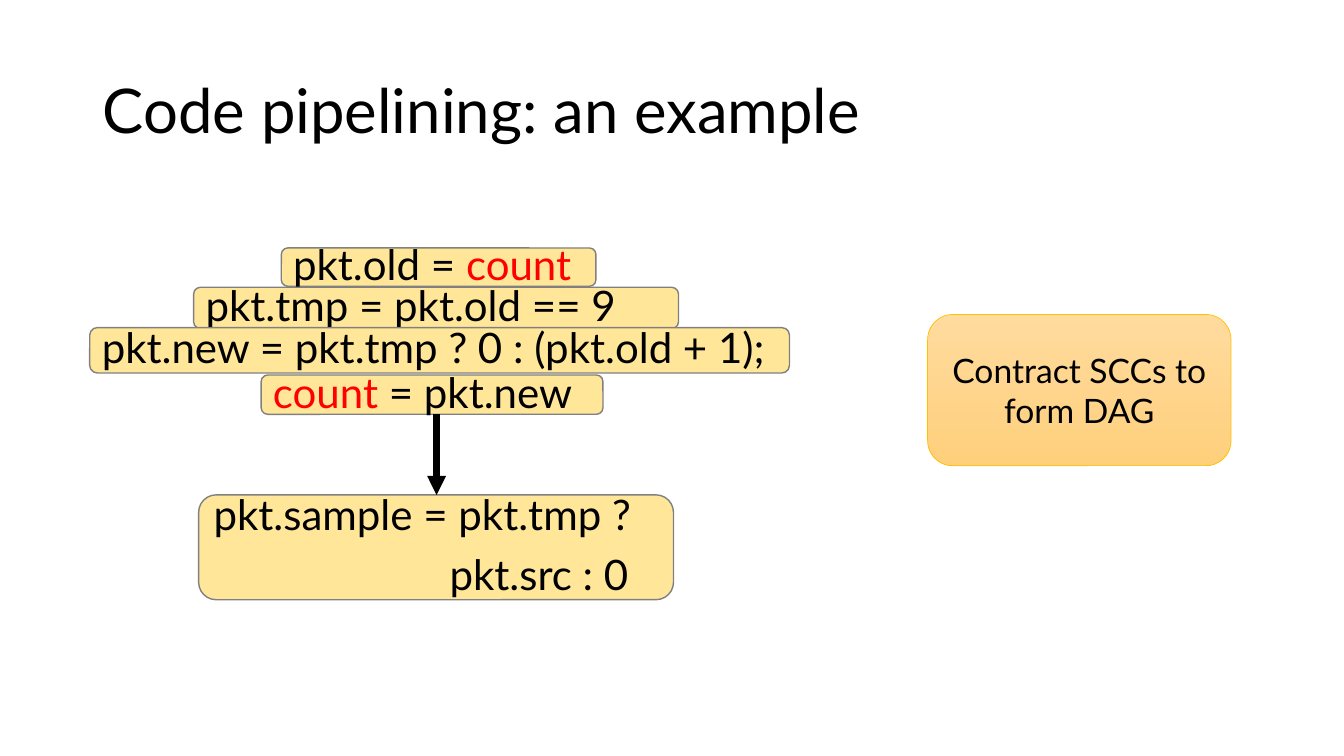
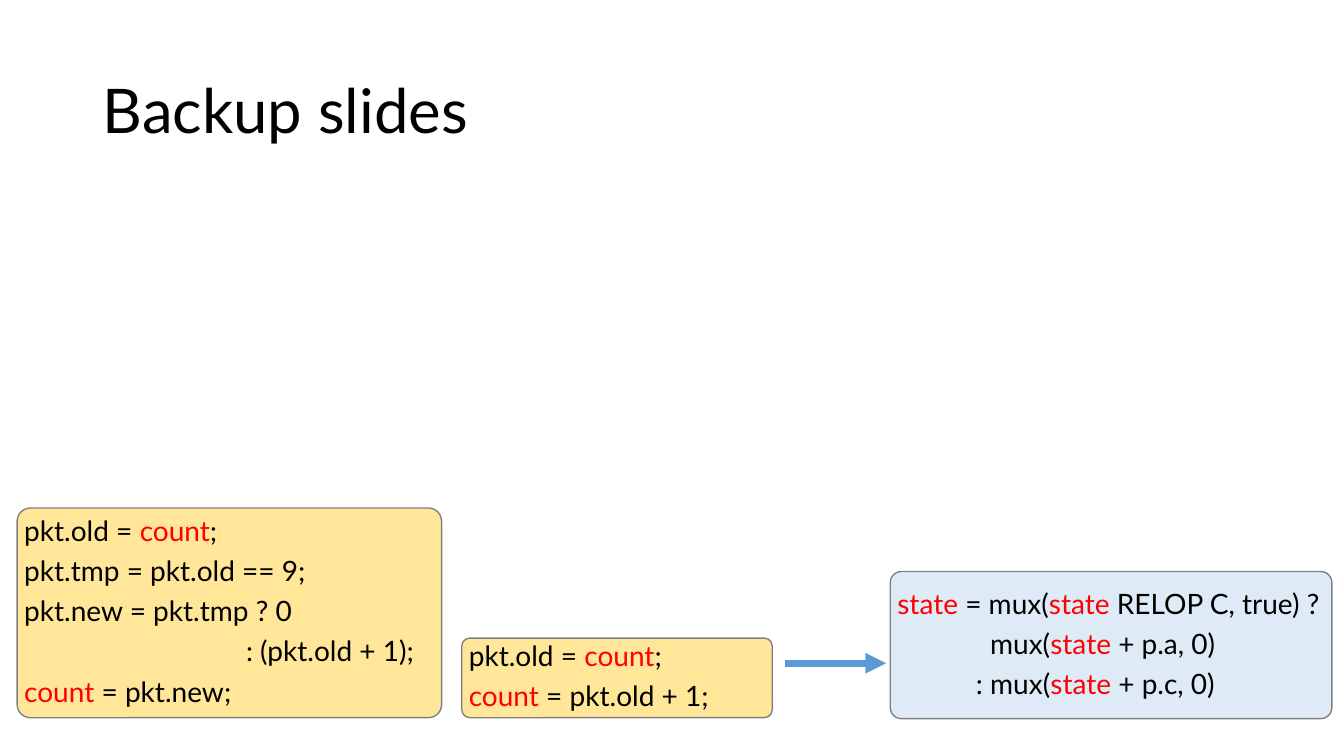
from pptx import Presentation
from pptx.dml.color import RGBColor
from pptx.enum import shapes, text
from pptx.oxml.ns import qn
from pptx.util import Inches, Pt
from lxml import etree

FONT = "Lato"
HUES = {"ink": "000000", "state": "FF0000", "code": "FFE699", "atom": "DEEBF7",
        "edge": "808080", "flow": "5B9BD5", "top": "FFDB9E", "low": "FFD07C",
        "rim": "FFC000"}

# Content: a block is (box, lines), a line is (indent, runs); *word* is state
STEPS = [
    ((2.79, 2.46, 3.12, 0.38), [(0, ["pkt.old = ", "*count"])]),
    ((1.92, 2.85, 4.81, 0.41), [(0, ["pkt.tmp = pkt.old == 9"])]),
    ((0.89, 3.25, 6.94, 0.45), [(0, ["pkt.new = pkt.tmp ? 0 : (pkt.old + 1);"])]),
    ((2.59, 3.72, 3.39, 0.39), [(0, ["*count ", "= pkt.new"])]),
    ((1.97, 4.91, 4.71, 1.04), [(0, ["pkt.sample = pkt.tmp ?"]),
                                (2.34, ["pkt.src : 0"])]),
]
NOTE = ((9.2, 3.12, 3.01, 1.5), "Contract SCCs to form DAG")

# Backup blocks add a fill and a corner radius
BACKUP = [
    ((0.17, 5.04, 4.21, 2.08), [
        (0, ["pkt.old = ", "*count", ";"]),
        (0, ["pkt.tmp = pkt.old == 9;"]),
        (0, ["pkt.new = pkt.tmp ? 0"]),
        (2.2, [": (pkt.old + 1);"]),
        (0, ["*count ", "= pkt.new;"])], "code", 0.13),
    ((4.58, 6.33, 3.08, 0.79), [
        (0, ["pkt.old = ", "*count", ";"]),
        (0, ["*count ", "= pkt.old + 1;"])], "code", 0.08),
    ((8.83, 5.67, 4.38, 1.46), [
        (0, ["*state ", "= mux(", "*state", " RELOP C, true) ?"]),
        (0.92, ["mux(", "*state ", "+ p.a, 0)"]),
        (0.78, [": mux(", "*state", " + p.c, 0)"])], "atom", 0.11),
]

deck = Presentation()
deck.slide_width, deck.slide_height = Inches(13.33), Inches(7.5)


def hue(name):
    return RGBColor.from_string(HUES[name])


def add_run(para, words, size, tone="ink"):
    run = para.add_run()
    run.text = words
    run.font.name, run.font.size = FONT, Pt(size)
    run.font.color.rgb = hue(tone)


def add_page(title):
    page = deck.slides.add_slide(deck.slide_layouts[5])
    head = page.shapes.title
    head.left, head.top, head.width, head.height = map(Inches, (0.92, 0.4, 11.5, 1.45))
    head.text_frame.vertical_anchor = text.MSO_ANCHOR.MIDDLE
    para = head.text_frame.paragraphs[0]
    para.alignment, para.line_spacing = text.PP_ALIGN.LEFT, 0.9
    add_run(para, title, 44)
    return page


def add_box(page, box, rim, width):
    shape = page.shapes.add_shape(shapes.MSO_SHAPE.ROUNDED_RECTANGLE, *map(Inches, box))
    shape.shadow.inherit = False
    shape.line.color.rgb, shape.line.width = hue(rim), Pt(width)
    shape.text_frame.word_wrap = True
    shape.text_frame.vertical_anchor = text.MSO_ANCHOR.MIDDLE
    return shape


def add_code(page, box, lines, size, fill="code", curve=None):
    shape = add_box(page, box, "edge", 1)
    shape.fill.solid()
    shape.fill.fore_color.rgb = hue(fill)
    frame = shape.text_frame
    if curve:
        shape.adjustments[0] = curve / box[3]
        # A rounded corner already insets its text by 0.29 of the radius
        pad = Inches(0.07 - 0.29 * curve)
        frame.margin_left = frame.margin_right = pad
        frame.margin_top = frame.margin_bottom = pad
    for i, (indent, runs) in enumerate(lines):
        para = frame.add_paragraph() if i else frame.paragraphs[0]
        para.alignment, para.line_spacing = text.PP_ALIGN.LEFT, 0.9
        para.space_after = Pt(0.35 * size)
        para._p.get_or_add_pPr().set("marL", str(Inches(indent)))
        for words in runs:
            tone = "state" if words.startswith("*") else "ink"
            add_run(para, words.lstrip("*"), size, tone)


def add_arrow(page, ends, tone, width):
    link = page.shapes.add_connector(shapes.MSO_CONNECTOR.STRAIGHT, *map(Inches, ends))
    link.line.color.rgb, link.line.width = hue(tone), Pt(width)
    etree.SubElement(link.line._get_or_add_ln(), qn("a:tailEnd"), type="triangle")
    etree.SubElement(link._element.spPr, qn("a:effectLst"))


# Slide 1: dependency graph with the cycle contracted
page = add_page("Code pipelining: an example")
for box, lines in STEPS:
    add_code(page, box, lines, 30)
add_arrow(page, (4.33, 4.11, 4.33, 4.91), "ink", 4.5)

box, words = NOTE
note = add_box(page, box, "rim", 0.5)
note.fill.gradient()
note.fill.gradient_angle = 270
for stop, tone in zip(note.fill.gradient_stops, ("top", "low")):
    stop.color.rgb = hue(tone)
para = note.text_frame.paragraphs[0]
para.alignment = text.PP_ALIGN.CENTER
add_run(para, words, 24)

# Slide 2: code blocks mapped to an atom
page = add_page("Backup slides")
for box, lines, fill, curve in BACKUP:
    add_code(page, box, lines, 20, fill, curve)
add_arrow(page, (7.79, 6.58, 8.79, 6.58), "flow", 5)

deck.save("out.pptx")
